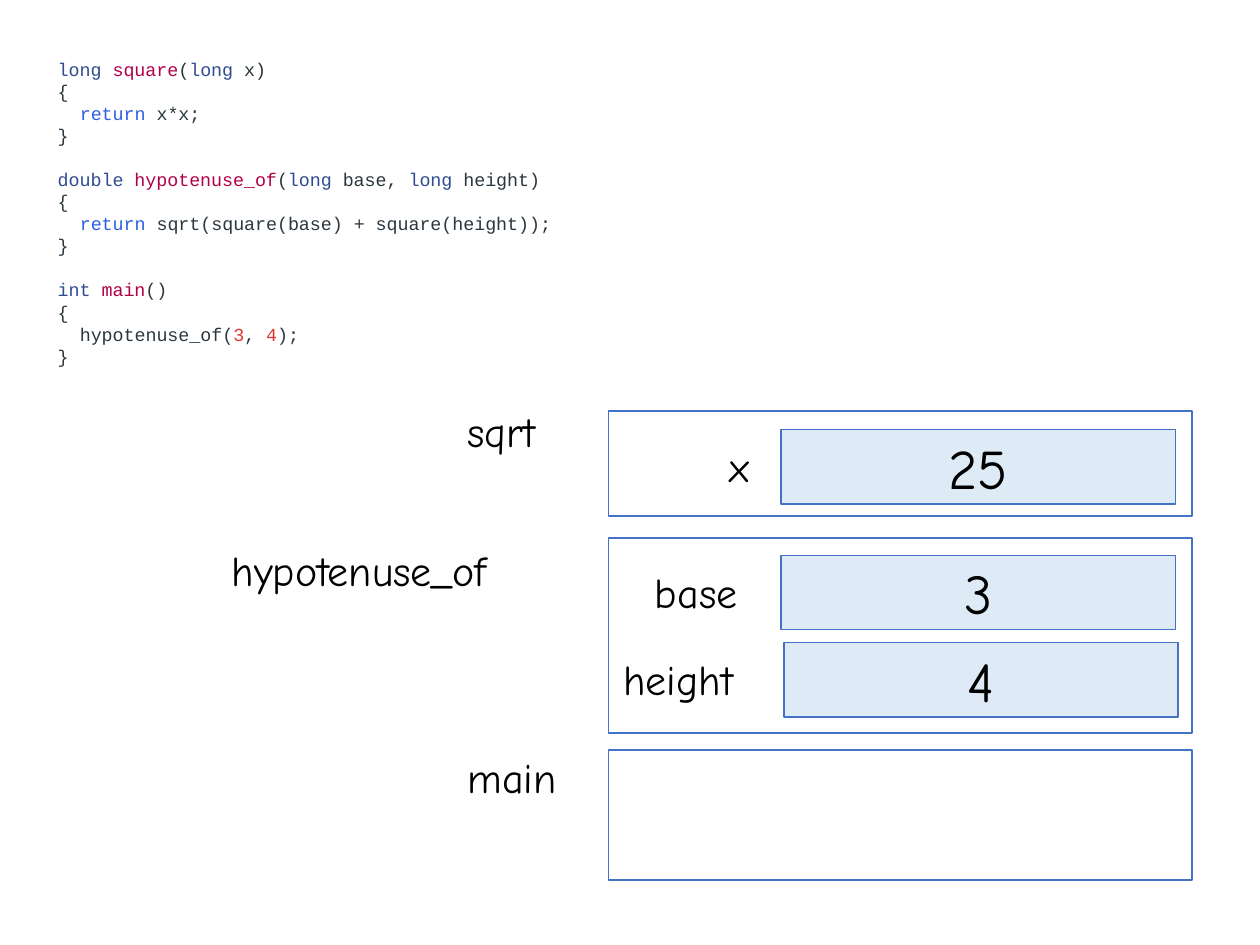
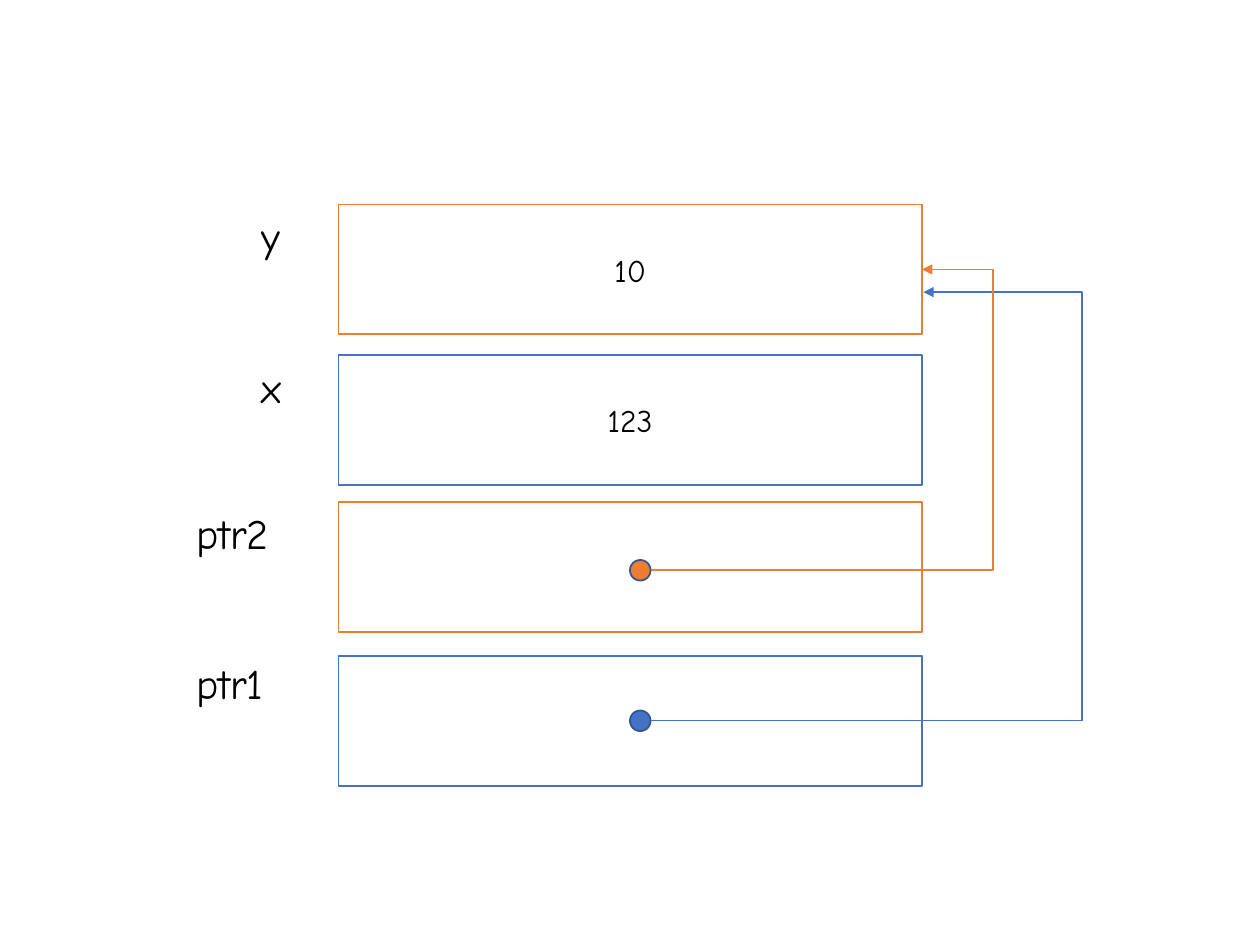
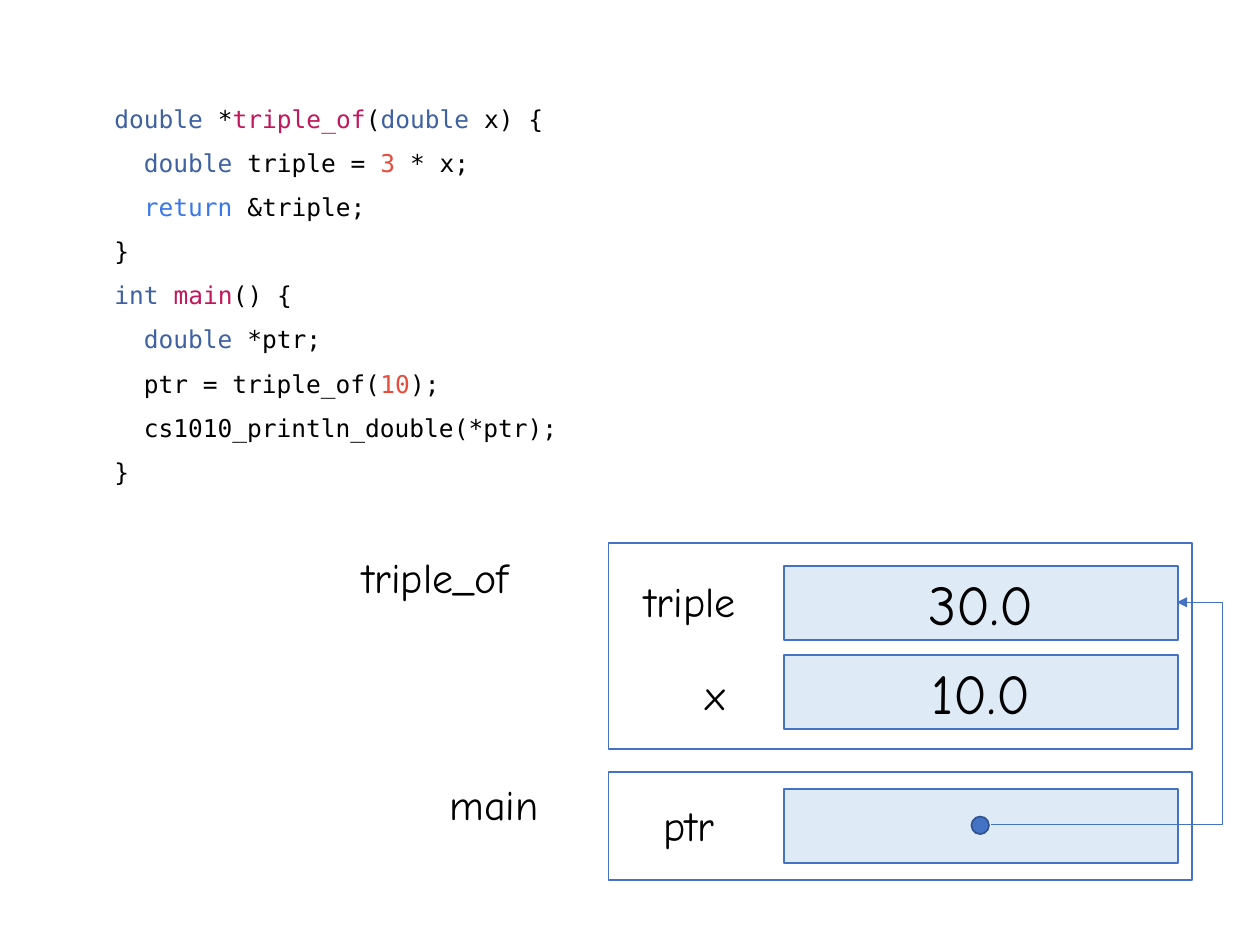
from dataclasses import dataclass
from itertools import groupby

from lxml.etree import SubElement
from pptx import Presentation
from pptx.dml.color import RGBColor
from pptx.enum.shapes import MSO_CONNECTOR, MSO_SHAPE
from pptx.enum.text import MSO_ANCHOR, MSO_AUTO_SIZE, PP_ALIGN
from pptx.oxml.ns import qn
from pptx.util import Pt


@dataclass(frozen=True)
class Theme:
    blue: str = "4472C4"
    orange: str = "ED7D31"
    dot_edge: str = "325491"
    white: str = "FFFFFF"
    slot: str = "DEEBF7"
    black: str = "000000"
    font: str = "Comic Neue"
    label_size: float = 24
    value_size: float = 32
    small_value_size: float = 18
    line_width: float = 1
    thin_line: float = 0.5


@dataclass(frozen=True)
class CodeStyle:
    font: str
    size: float
    pitch: float
    plain: str
    type_name: str
    function: str
    keyword: str
    number: str


THEME = Theme()
COURIER = CodeStyle("Courier New", 10.5, 12.6, "2A373E", "304C91",
                    "B20049", "2E5FE1", "DE352E")
DEJAVU = CodeStyle("DejaVu Sans Mono", 14, 25.2, "000000", "3E61A2",
                   "C2185B", "3B78E7", "E74C3C")

FRAME_LEFT, FRAME_WIDTH, FRAME_HEIGHT = 347.8, 333.4, 74.3
SLOT_LEFT, SLOT_WIDTH, SLOT_HEIGHT = 448, 225.4, 42.4
LABEL_HEIGHT = 36.4
CHARACTER_WIDTH = 0.6

HYPOTENUSE_CODE = """long square(long x)
{
  return x*x;
}

double hypotenuse_of(long base, long height)
{
  return sqrt(square(base) + square(height));
}

int main()
{
  hypotenuse_of(3, 4);
}"""

TRIPLE_CODE = """double *triple_of(double x) {
  double triple = 3 * x;
  return &triple;
}
int main() {
  double *ptr;
  ptr = triple_of(10);
  cs1010_println_double(*ptr);
}"""


def apply_format(target, values):
    for name, value in values.items():
        setattr(target, name, value)


def split_tokens(line):
    groups = groupby(line, lambda letter: letter.isalnum() or letter == "_")
    return ["".join(letters) for _, letters in groups]


def token_color(token, following, indented, style):
    if token in ("long", "double", "int"):
        return style.type_name
    if token == "return":
        return style.keyword
    if token.isdigit():
        return style.number
    if following.startswith("(") and token[0].isalpha() and not indented:
        return style.function
    return style.plain


class Deck:
    def __init__(self, theme):
        self.theme = theme
        self.presentation = Presentation()
        apply_format(self.presentation,
                     {"slide_width": Pt(720), "slide_height": Pt(540)})
        self.slide = None

    def new_slide(self):
        self.slide = self.presentation.slides.add_slide(
            self.presentation.slide_layouts[6])

    def add_text(self, paragraph, text, font, size, color):
        run = paragraph.add_run()
        run.text = text
        apply_format(run.font, {"name": font, "size": Pt(size)})
        run.font.color.rgb = RGBColor.from_string(color)

    def shape(self, preset, left, top, width, height, fill, edge):
        shape = self.slide.shapes.add_shape(
            preset, Pt(left), Pt(top), Pt(width), Pt(height))
        shape.shadow.inherit = False
        shape.fill.solid()
        shape.fill.fore_color.rgb = RGBColor.from_string(fill)
        shape.line.color.rgb = RGBColor.from_string(edge)
        shape.line.width = Pt(self.theme.line_width)
        return shape

    def box(self, left, top, width, height, fill, edge, text="", size=0):
        shape = self.shape(MSO_SHAPE.RECTANGLE, left, top, width, height,
                           fill, edge)
        if text:
            shape.text_frame.vertical_anchor = MSO_ANCHOR.MIDDLE
            paragraph = shape.text_frame.paragraphs[0]
            paragraph.alignment = PP_ALIGN.CENTER
            self.add_text(paragraph, text, self.theme.font, size,
                          self.theme.black)

    def frame(self, top, height=FRAME_HEIGHT, left=FRAME_LEFT, edge=None,
              text=""):
        self.box(left, top, FRAME_WIDTH, height, self.theme.white,
                 edge or self.theme.blue, text, self.theme.small_value_size)

    def slot(self, top, text="", left=SLOT_LEFT):
        self.box(left, top, SLOT_WIDTH, SLOT_HEIGHT, self.theme.slot,
                 self.theme.blue, text, self.theme.value_size)

    def dot(self, left, top, size, fill):
        self.shape(MSO_SHAPE.OVAL, left, top, size, size, fill,
                   self.theme.dot_edge)

    def text_box(self, left, top, width, height, wrap=False):
        text_frame = self.slide.shapes.add_textbox(
            Pt(left), Pt(top), Pt(width), Pt(height)).text_frame
        apply_format(text_frame, {"word_wrap": wrap,
                                  "auto_size": MSO_AUTO_SIZE.SHAPE_TO_FIT_TEXT})
        return text_frame

    def label(self, text, left, top, width):
        text_frame = self.text_box(left, top, width, LABEL_HEIGHT)
        self.add_text(text_frame.paragraphs[0], text, self.theme.font,
                      self.theme.label_size, self.theme.black)

    def code(self, source, style, left, top, width, height, wrap=False):
        text_frame = self.text_box(left, top, width, height, wrap)
        paragraph, gap = text_frame.paragraphs[0], 0
        for number, line in enumerate(source.splitlines()):
            if not line:
                gap += style.pitch
                continue
            if number:
                paragraph = text_frame.add_paragraph()
            apply_format(paragraph, {"line_spacing": Pt(style.pitch),
                                     "space_before": Pt(gap)})
            gap = 0
            content = line.lstrip()
            indent = len(line) - len(content)
            if indent:
                margin = Pt(indent * CHARACTER_WIDTH * style.size)
                paragraph._p.get_or_add_pPr().set("marL", str(margin))
            tokens = split_tokens(content)
            for token, following in zip(tokens, tokens[1:] + [""]):
                self.add_text(paragraph, token, style.font, style.size,
                              token_color(token, following, indent, style))

    def line(self, start, end, color, width, kind=MSO_CONNECTOR.STRAIGHT):
        connector = self.slide.shapes.add_connector(
            kind, *(Pt(value) for value in start + end))
        connector.line.color.rgb = RGBColor.from_string(color)
        connector.line.width = Pt(width)
        SubElement(connector._element.spPr, qn("a:effectLst"))
        return connector

    def elbow_arrow(self, start, end, turn, color, width):
        connector = self.line(start, end, color, width, MSO_CONNECTOR.ELBOW)
        properties = connector._element.spPr
        bend = round(100000 * (turn - start[0]) / (end[0] - start[0]))
        adjustments = properties.find(qn("a:prstGeom")).get_or_add_avLst()
        SubElement(adjustments, qn("a:gd"), name="adj1", fmla=f"val {bend}")
        SubElement(properties.find(qn("a:ln")), qn("a:tailEnd"),
                   type="triangle")


def hypotenuse_slide(deck):
    deck.new_slide()
    deck.code(HYPOTENUSE_CODE, COURIER, 25.9, 29.5, 562.3, 185, wrap=True)
    for top, height in ((428.4, FRAME_HEIGHT), (307.6, 111.4), (234.7, 60)):
        deck.frame(top, height)
    for text, left, top in (("3", 446.4, 317.4), ("4", SLOT_LEFT, 367.2),
                            ("25", 446.4, 245.5)):
        deck.slot(top, text, left)
    for label in (("main", 260, 426.2, 82.8),
                  ("hypotenuse_of", 125.3, 307.4, 211.7),
                  ("base", 367.2, 320.4, 72),
                  ("height", 349.2, 370, 96.5),
                  ("sqrt", 260, 228.2, 66.2),
                  ("x", 409.7, 248.4, 30.2)):
        deck.label(*label)


def pointers_slide(deck):
    deck.new_slide()
    blue, orange = deck.theme.blue, deck.theme.orange
    for name, value, color, top, label_left, label_top, label_width in (
            ("ptr1", "", blue, 375, 105.1, 372.2, 68.4),
            ("ptr2", "", orange, 286.7, 105.1, 286.6, 67),
            ("x", "123", blue, 202.9, 142.6, 203, 30.2),
            ("y", "10", orange, 116.8, 142.6, 116.8, 29.5)):
        deck.frame(top, left=193.4, edge=color, text=value)
        deck.label(name, label_left, label_top, label_width)
    for top, color in ((406, blue), (320, orange)):
        deck.dot(360, top, 11.8, color)
    width = deck.theme.line_width
    corner = (618.5, 411.8)
    deck.elbow_arrow(corner, (527.6, 167), corner[0], blue, width)
    deck.elbow_arrow((371.8, 325.7), (526.9, 154), 567.5, orange, width)
    deck.line((371.8, 411.8), corner, blue, width)


def triple_slide(deck):
    deck.new_slide()
    deck.code(TRIPLE_CODE, DEJAVU, 58.3, 47.5, 276.5, 233.3)
    for top, height in ((441.2, 61.8), (310.3, 117.6)):
        deck.frame(top, height)
    for top, text in ((450.8, ""), (374.4, "10.0"), (323.3, "30.0")):
        deck.slot(top, text)
    for label in (("main", 249.8, 441.4, 82.8),
                  ("ptr", 372.2, 453.6, 54),
                  ("triple_of", 200.2, 311.8, 134.6),
                  ("x", 396, 378.7, 30.2),
                  ("triple", 361.4, 325.4, 87.8)):
        deck.label(*label)
    deck.dot(555.1, 466.6, 10, deck.theme.blue)
    deck.elbow_arrow((566.6, 470.9), (672.5, 344.2), 698.4,
                     deck.theme.blue, deck.theme.thin_line)


def main():
    deck = Deck(THEME)
    for build in (hypotenuse_slide, pointers_slide, triple_slide):
        build(deck)
    deck.presentation.save("out.pptx")


if __name__ == "__main__":
    main()
